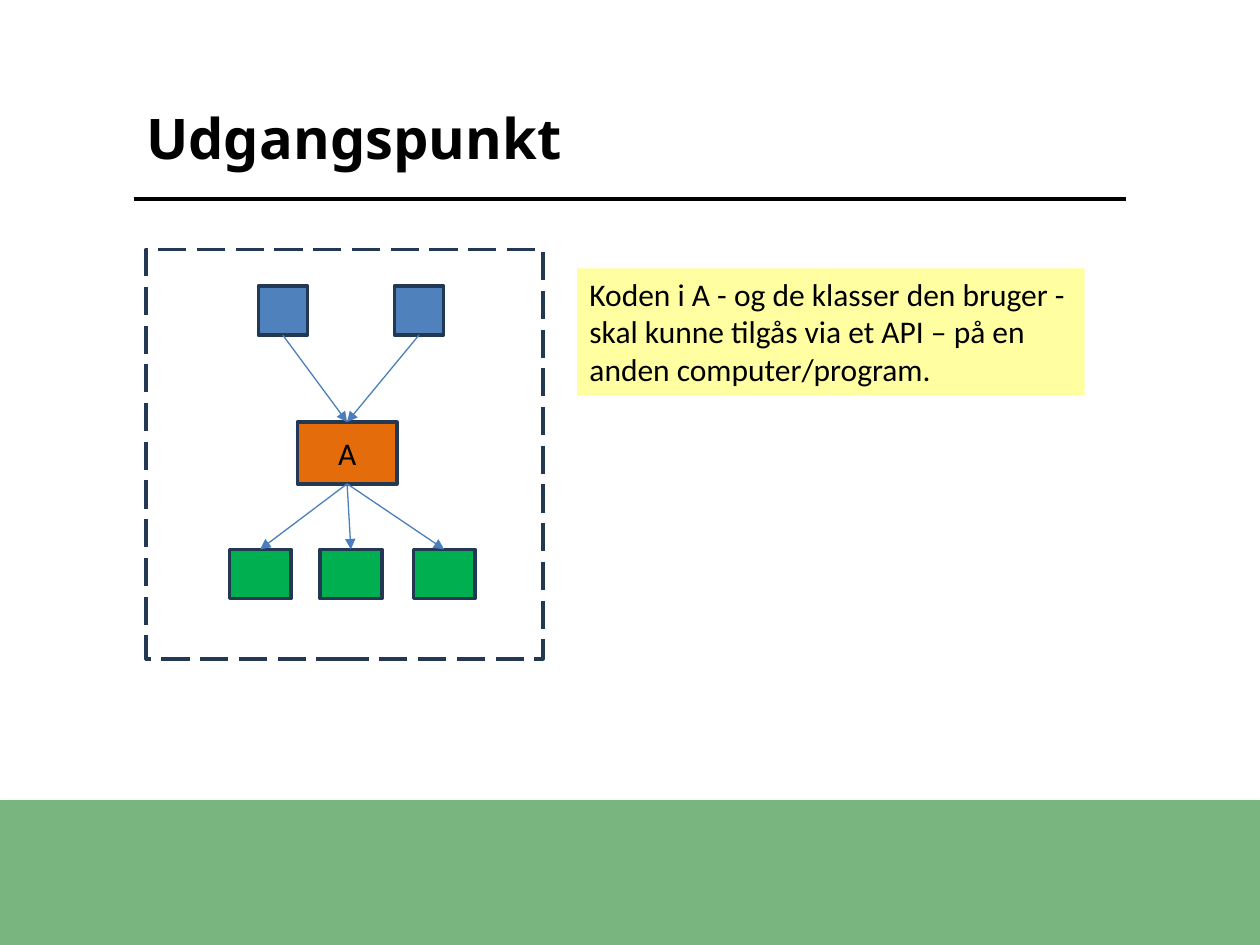
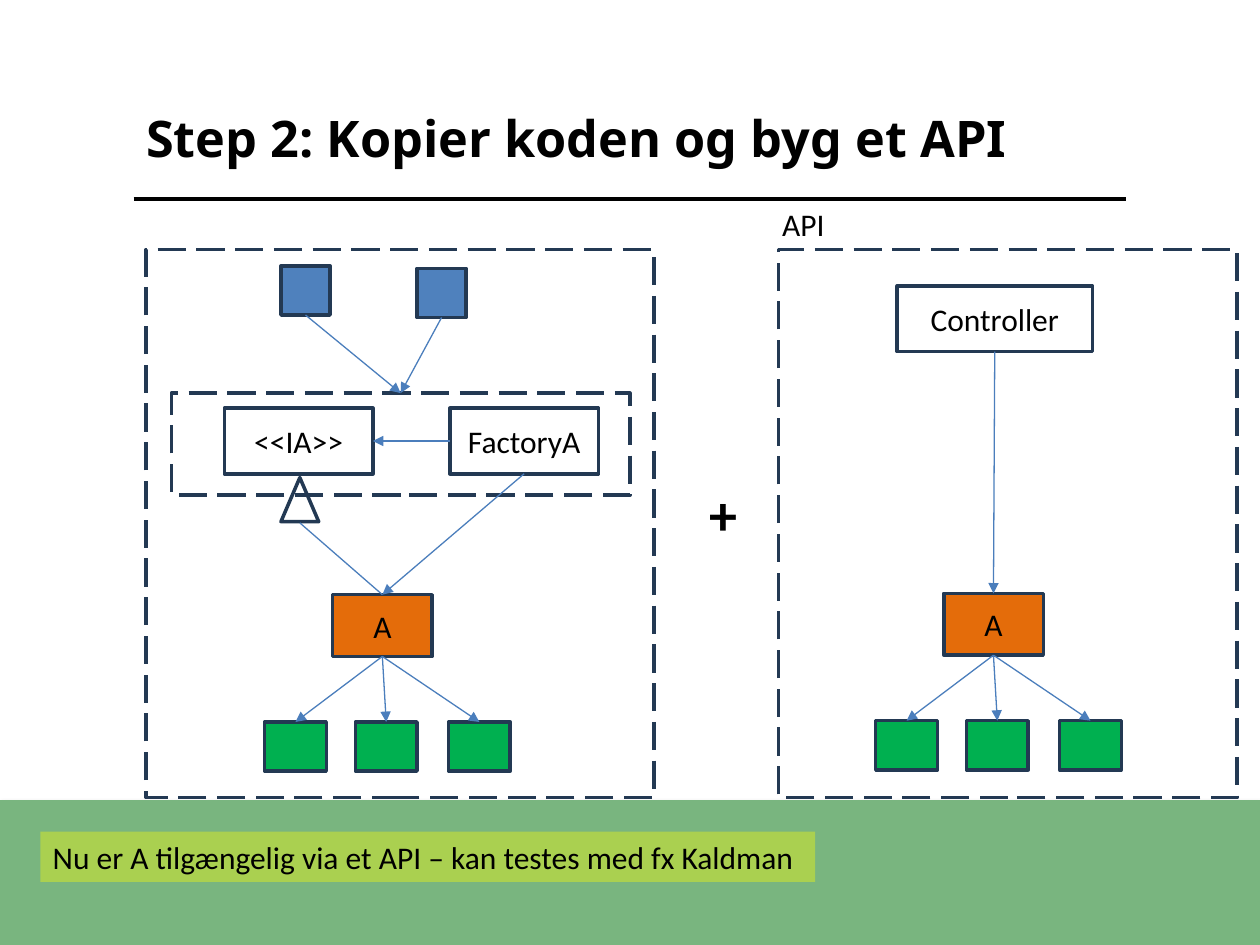
from lxml import etree
from pptx import Presentation
from pptx.dml.color import RGBColor
from pptx.enum.dml import MSO_LINE
from pptx.enum.shapes import MSO_CONNECTOR, MSO_SHAPE
from pptx.enum.text import MSO_ANCHOR, MSO_AUTO_SIZE, PP_ALIGN
from pptx.oxml.ns import qn
from pptx.util import Inches, Pt

RECT, TRIANGLE = MSO_SHAPE.RECTANGLE, MSO_SHAPE.ISOSCELES_TRIANGLE
STRAIGHT, DASH = MSO_CONNECTOR.STRAIGHT, MSO_LINE.LONG_DASH
LEFT, CENTER = PP_ALIGN.LEFT, PP_ALIGN.CENTER
TOP, MIDDLE = MSO_ANCHOR.TOP, MSO_ANCHOR.MIDDLE
NO_FIT, GROW = MSO_AUTO_SIZE.NONE, MSO_AUTO_SIZE.SHAPE_TO_FIT_TEXT
SITE_TOP, SITE_LEFT, SITE_BOTTOM, SITE_RIGHT = range(4)

COLORS = {
    "text": "000000",
    "band": "79B57F",
    "outline": "233953",
    "arrow": "4B7EBC",
    "client": "4F81BD",
    "service": "E46C0A",
    "helper": "00B050",
    "note": "FFFF00",
}
BODY_FONT = {"name": "Calibri", "size": Pt(18), "bold": False}
TITLE_FONT = {"name": "Noto Sans", "size": Pt(32), "bold": True}
NOTE_FRAME = {"word_wrap": False, "auto_size": GROW, "vertical_anchor": TOP}
BOX_FRAME = {"word_wrap": True, "vertical_anchor": MIDDLE}
TITLE_FRAME = {"word_wrap": True, "auto_size": NO_FIT, "vertical_anchor": MIDDLE}


def rgb(name):
    """Return the named colour."""
    return RGBColor.from_string(COLORS[name])


def apply(target, values):
    """Set each value as an attribute of the target."""
    for key, value in values.items():
        setattr(target, key, value)


def inches(*values):
    """Convert numbers to lengths."""
    return [Inches(v) for v in values]


class Deck:
    """Hold the presentation style and the current slide."""

    def __init__(self):
        """Start an empty presentation."""
        self.prs = Presentation()
        self.prs.slide_width, self.prs.slide_height = inches(10, 7.5)

    def slide(self, title, size=32):
        """Add a slide with its title, rule and bottom band."""
        self.s = self.prs.slides.add_slide(self.prs.slide_layouts[5])
        band = self.shape(0, 6.35, 10, 1.15, fill="band", outline=None)
        effects = band._element.spPr.find(qn("a:effectLst"))
        shadow = etree.SubElement(effects, qn("a:outerShdw"), blurRad="39370",
                                  dist="20320", dir="5400000", rotWithShape="0")
        color = etree.SubElement(shadow, qn("a:srgbClr"), val=COLORS["text"])
        etree.SubElement(color, qn("a:alpha"), val="38000")
        self.line((1.06, 1.58), (8.94, 1.58), "text", 2.25)
        sp = self.s.shapes.title
        sp.left, sp.top, sp.width, sp.height = inches(1.06, 0.6, 7.88, 0.98)
        self.put_text(sp, [title], TITLE_FRAME, {**TITLE_FONT, "size": Pt(size)})

    def put_text(self, sp, lines, frame, font, align=LEFT):
        """Fill a shape with one paragraph per line."""
        tf = sp.text_frame
        apply(tf, frame)
        for i, text in enumerate(lines):
            p = tf.add_paragraph() if i else tf.paragraphs[0]
            p.alignment = align
            r = p.add_run()
            r.text = text
            apply(r.font, font)
            r.font.color.rgb = rgb("text")

    def shape(self, x, y, w, h, fill=None, outline="outline", kind=RECT):
        """Draw a preset shape."""
        sp = self.s.shapes.add_shape(kind, *inches(x, y, w, h))
        sp.shadow.inherit = False
        if fill:
            sp.fill.solid()
            sp.fill.fore_color.rgb = rgb(fill)
        else:
            sp.fill.background()
        if outline:
            sp.line.color.rgb = rgb(outline)
            sp.line.width = Pt(2)
        else:
            sp.line.fill.background()
        return sp

    def box(self, text, x, y, w, h, fill=None):
        """Draw a box with a centred label."""
        sp = self.shape(x, y, w, h, fill)
        self.put_text(sp, [text], BOX_FRAME, BODY_FONT, CENTER)
        return sp

    def frame(self, x, y, w, h):
        """Draw a dashed system boundary."""
        sp = self.shape(x, y, w, h)
        sp.line.dash_style = DASH
        return sp

    def note(self, lines, x, y, w, h):
        """Draw a translucent yellow note."""
        sp = self.shape(x, y, w, h, "note", None)
        color = sp._element.spPr.find(qn("a:solidFill"))[0]
        etree.SubElement(color, qn("a:alpha"), val="37000")
        self.put_text(sp, lines, NOTE_FRAME, BODY_FONT)

    def label(self, text, x, y, w, h, **font):
        """Add a free text label."""
        sp = self.s.shapes.add_textbox(*inches(x, y, w, h))
        self.put_text(sp, [text], NOTE_FRAME, {**BODY_FONT, **font})

    def line(self, start, end, color="arrow", width=0.75):
        """Draw a straight line between two points."""
        c = self.s.shapes.add_connector(STRAIGHT, *inches(*start, *end))
        c.line.color.rgb = rgb(color)
        c.line.width = Pt(width)
        etree.SubElement(c._element.spPr, qn("a:effectLst"))
        return c

    def arrow(self, source, target, out=SITE_BOTTOM, into=SITE_TOP):
        """Join two shapes with an arrow."""
        c = self.line((0, 0), (0, 0))
        c.begin_connect(source, out)
        c.end_connect(target, into)
        ln = c._element.spPr.find(qn("a:ln"))
        etree.SubElement(ln, qn("a:tailEnd"), type="triangle")

    def clients(self, target, *corners):
        """Draw client squares that point at the target."""
        for x, y in corners:
            self.arrow(self.shape(x, y, 0.39, 0.39, "client"), target)

    def service(self, x, y):
        """Draw class A above the three classes it uses."""
        a = self.box("A", x, y, 0.79, 0.49, "service")
        for dx in (-0.54, 0.18, 0.92):
            self.arrow(a, self.shape(x + dx, y + 1.01, 0.49, 0.39, "helper"))
        return a


def starting_point(deck):
    """Build the slide with the initial class structure."""
    deck.slide("Udgangspunkt")
    deck.clients(deck.service(2.36, 3.35), (2.05, 2.27), (3.13, 2.27))
    deck.note(["Koden i A - og de klasser den bruger -",
               "skal kunne tilgås via et API – på en",
               "anden computer/program."], 4.58, 2.13, 4.03, 1.01)
    deck.frame(1.16, 1.98, 3.15, 3.25)


def copy_and_build_api(deck):
    """Build the slide with the program beside its API."""
    deck.slide("Step 2: Kopier koden og byg et API", 28.8)
    a = deck.service(2.64, 4.72)
    deck.note(["Nu er A tilgængelig via et API – kan testes med fx Kaldman"],
              0.32, 6.6, 6.15, 0.4)
    interface = deck.box("<<IA>>", 1.78, 3.24, 1.18, 0.52)
    factory = deck.box("FactoryA", 3.57, 3.24, 1.18, 0.52)
    facade = deck.frame(1.36, 3.12, 3.64, 0.81)
    deck.shape(2.23, 3.79, 0.3, 0.35, kind=TRIANGLE)
    deck.line((2.38, 4.15), (3.03, 4.72)).end_connect(a, SITE_TOP)
    deck.arrow(factory, interface, SITE_LEFT, SITE_RIGHT)
    deck.arrow(factory, a)
    deck.clients(facade, (2.23, 2.11), (3.31, 2.13))
    deck.frame(1.16, 1.98, 4.03, 4.35)

    deck.label("+", 5.53, 3.76, 0.43, 0.64, size=Pt(32), bold=True)
    deck.label("API", 6.11, 1.58, 0.54, 0.4)
    deck.frame(6.18, 1.98, 3.64, 4.35)
    controller = deck.box("Controller", 7.12, 2.27, 1.55, 0.52)
    deck.arrow(controller, deck.service(7.49, 4.71))


def main():
    """Build and save the presentation."""
    deck = Deck()
    starting_point(deck)
    copy_and_build_api(deck)
    deck.prs.save("out.pptx")


if __name__ == "__main__":
    main()
